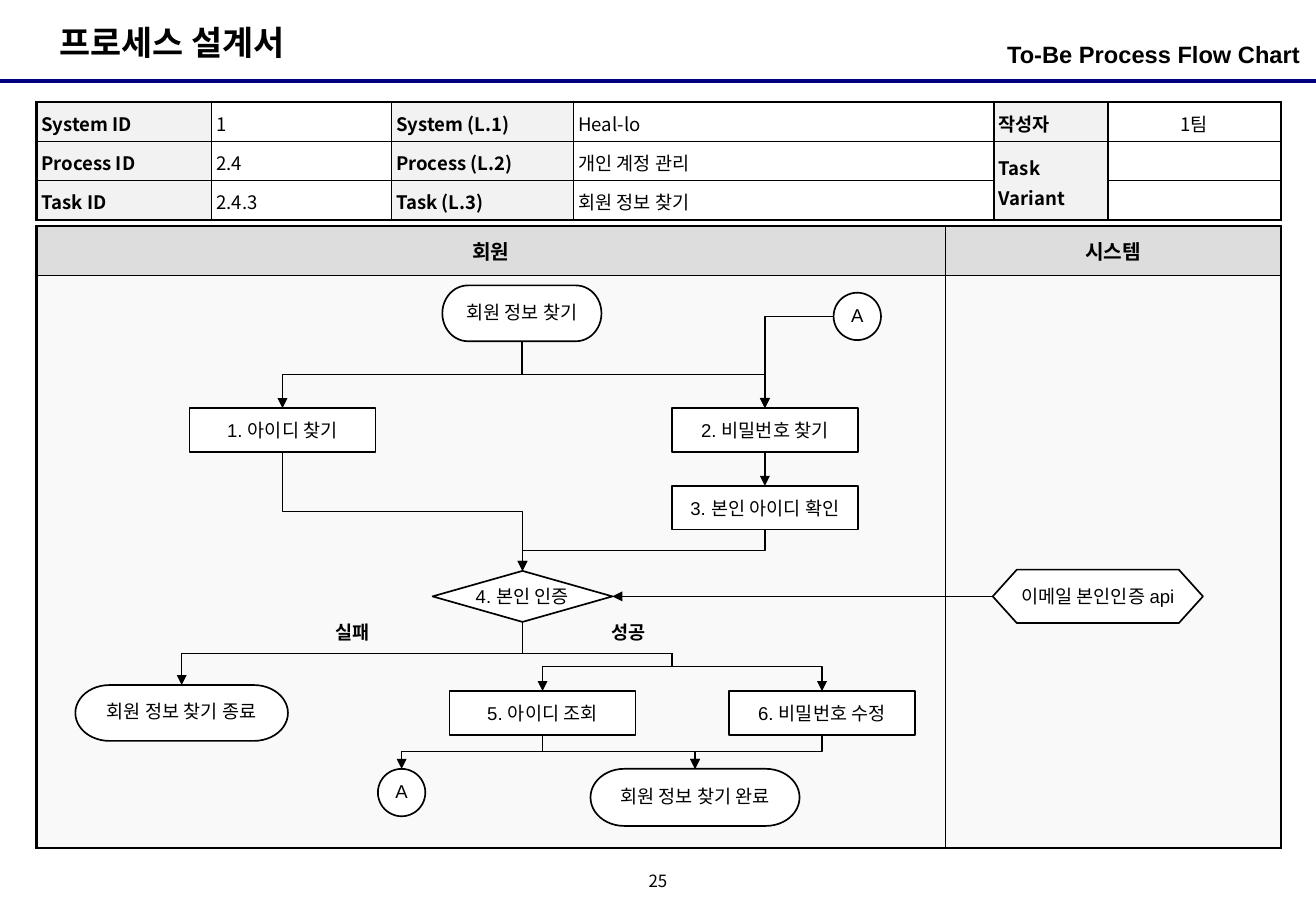
from lxml import etree
from pptx import Presentation
from pptx.dml.color import RGBColor
from pptx.enum.shapes import MSO_CONNECTOR, MSO_SHAPE
from pptx.enum.text import MSO_ANCHOR, PP_ALIGN
from pptx.oxml.ns import qn
from pptx.util import Inches, Pt

BOX, TERMINAL, CIRCLE = MSO_SHAPE.RECTANGLE, MSO_SHAPE.FLOWCHART_TERMINATOR, MSO_SHAPE.FLOWCHART_CONNECTOR
DECISION, HEXAGON = MSO_SHAPE.FLOWCHART_DECISION, MSO_SHAPE.HEXAGON
LINE = MSO_CONNECTOR.STRAIGHT
LEFT, CENTER, RIGHT = PP_ALIGN.LEFT, PP_ALIGN.CENTER, PP_ALIGN.RIGHT
TOP, MIDDLE = MSO_ANCHOR.TOP, MSO_ANCHOR.MIDDLE

COLORS = {"ink": "000000", "rule": "000080", "label": "F2F2F2",
          "lane_head": "DDDDDD", "lane": "F9F9F9", "node": "FFFFFF"}
KOREAN, LATIN = "Noto Sans CJK KR", "Arial"

INFO_COLUMNS = [1.44, 1.48, 1.5, 3.46, 0.94, 1.42]
INFO_ROWS = [
    ["System ID", "1", "System (L.1)", "Heal-lo", "작성자", "1팀"],
    ["Process ID", "2.4", "Process (L.2)", "개인 계정 관리", "Task Variant", ""],
    ["Task ID", "2.4.3", "Task (L.3)", "회원 정보 찾기", "", ""],
]
LANE_COLUMNS = [7.48, 2.76]
LANES = [["회원", "시스템"], ["", ""]]

# text, left, top, width, height, font, size, bold, alignment, wrap, side inset, line spacing
CAPTIONS = [
    ("프로세스 설계서", 0.39, 0.13, 2.26, 0.44, KOREAN, 20, True, LEFT, False, 0.1, 1),
    ("To-Be Process Flow Chart", 7.39, 0.28, 3.31, 0.39, LATIN, 14, True, RIGHT, True, 0, 1),
    ("25", 5.25, 7.15, 0.33, 0.25, KOREAN, 10, False, CENTER, False, 0, 0.8),
    ("실패", 2.66, 5.06, 0.76, 0.29, KOREAN, 11, True, LEFT, True, 0.1, 1),
    ("성공", 4.93, 5.06, 0.99, 0.29, KOREAN, 11, True, LEFT, True, 0.1, 1),
]

# key: text, outline, left, top, width, height
NODES = {
    "start": ("회원 정보 찾기", TERMINAL, 3.64, 2.35, 1.31, 0.46),
    "find_id": ("1. 아이디 찾기", BOX, 1.56, 3.36, 1.53, 0.36),
    "find_password": ("2. 비밀번호 찾기", BOX, 5.53, 3.36, 1.53, 0.36),
    "check_id": ("3. 본인 아이디 확인", BOX, 5.53, 4, 1.53, 0.36),
    "verify": ("4. 본인 인증", DECISION, 3.56, 4.7, 1.48, 0.42),
    "show_id": ("5. 아이디 조회", BOX, 3.7, 5.69, 1.53, 0.36),
    "edit_password": ("6. 비밀번호 수정", BOX, 6, 5.69, 1.53, 0.36),
    "email_api": ("이메일 본인인증 api", HEXAGON, 8.17, 4.69, 1.73, 0.44),
    "failed": ("회원 정보 찾기 종료", TERMINAL, 0.62, 5.64, 1.75, 0.46),
    "done": ("회원 정보 찾기 완료", TERMINAL, 4.86, 6.33, 1.72, 0.47),
    "jump_in": ("A", CIRCLE, 6.86, 2.41, 0.39, 0.39),
    "jump_out": ("A", CIRCLE, 3.11, 6.33, 0.39, 0.39),
}
BRANCH, FORK = (5.53, 5.38), (5.53, 5.49)

# from, to, preset, leaves vertically, arrowhead; an end is a (node, side) or a point
FLOWS = [
    (("start", "bottom"), ("find_id", "top"), "bentConnector3", True, True),
    (("start", "bottom"), ("find_password", "top"), "bentConnector3", True, True),
    (("jump_in", "left"), ("find_password", "top"), "bentConnector2", False, True),
    (("find_password", "bottom"), ("check_id", "top"), "line", False, True),
    (("find_id", "bottom"), ("verify", "top"), "bentConnector3", True, True),
    (("check_id", "bottom"), ("verify", "top"), "bentConnector3", True, True),
    (("email_api", "left"), ("verify", "right"), "line", False, True),
    (("verify", "bottom"), ("failed", "top"), "bentConnector3", True, True),
    (("verify", "bottom"), BRANCH, "bentConnector2", True, False),
    (BRANCH, FORK, "line", False, False),
    (FORK, ("show_id", "top"), "bentConnector2", False, True),
    (FORK, ("edit_password", "top"), "bentConnector2", False, True),
    (("show_id", "bottom"), ("done", "top"), "bentConnector3", True, True),
    (("show_id", "bottom"), ("jump_out", "top"), "bentConnector3", True, True),
    (("edit_password", "bottom"), ("done", "top"), "bentConnector3", True, True),
]
SIDES = {"top": (0.5, 0), "left": (0, 0.5), "bottom": (0.5, 1), "right": (1, 0.5)}
LEFT_SITES = {CIRCLE: 2, HEXAGON: 3}
# (leaves vertically, runs leftward): rotation, flip
TURNS = {(True, True): (90, None), (True, False): (270, "flipH"),
         (False, True): (180, "flipV"), (False, False): (0, None)}


def rgb(name):
    return RGBColor.from_string(COLORS[name])


def write(frame, text, font, size, bold=False, align=LEFT, spacing=1):
    frame.text = text
    paragraph = frame.paragraphs[0]
    paragraph.alignment = align
    paragraph.line_spacing = spacing
    for run in paragraph.runs:
        run.font.size, run.font.bold, run.font.name = Pt(size), bold, font
        run.font.color.rgb = rgb("ink")
        etree.SubElement(run.font._element, qn("a:ea"), typeface=KOREAN)
    if not text:
        etree.SubElement(paragraph._p, qn("a:endParaRPr"), sz=str(size * 100))
    return paragraph


def set_insets(target, side, vertical):
    target.margin_left = target.margin_right = Inches(side)
    target.margin_top = target.margin_bottom = Inches(vertical)


def set_borders(cell, widths):
    """Draw left, right, top and bottom borders, widths in points."""
    properties = cell._tc.get_or_add_tcPr()
    for position, (tag, width) in enumerate(zip(("lnL", "lnR", "lnT", "lnB"), widths)):
        border = etree.Element(qn("a:" + tag), w=str(Pt(width)))
        fill = etree.SubElement(border, qn("a:solidFill"))
        etree.SubElement(fill, qn("a:srgbClr"), val=COLORS["ink"])
        properties.insert(position, border)


def add_grid(texts, columns, heights, top, inner_border):
    table = slide.shapes.add_table(len(heights), len(columns), Inches(0.3), Inches(top),
                                   Inches(sum(columns)), Inches(sum(heights))).table
    table.first_row = table.horz_banding = False
    for column, width in zip(table.columns, columns):
        column.width = Inches(width)
    for row, height in zip(table.rows, heights):
        row.height = Inches(height)
    last_row, last_column = len(heights) - 1, len(columns) - 1
    for r, row_texts in enumerate(texts):
        for c, text in enumerate(row_texts):
            outer = (c == 0, c == last_column, r == 0, r == last_row)
            set_borders(table.cell(r, c), [1.5 if edge else inner_border for edge in outer])
            yield table, r, c, table.cell(r, c), text


def fill_cell(cell, color):
    cell.fill.solid()
    cell.fill.fore_color.rgb = rgb(color)


def add_line(start, end, color, width):
    line = slide.shapes.add_connector(LINE, *(Inches(v) for v in (*start, *end)))
    line.line.color.rgb = rgb(color)
    line.line.width = Pt(width)
    etree.SubElement(line._element.spPr, qn("a:effectLst"))
    return line


def locate(end):
    if end[0] not in NODES:
        return end
    _, _, left, top, width, height = NODES[end[0]]
    across, down = SIDES[end[1]]
    return left + width * across, top + height * down


def site(end):
    """Connection site number of a (node, side) end."""
    if end[1] == "left":
        return LEFT_SITES.get(NODES[end[0]][1], 1)
    return list(SIDES).index(end[1])


def add_flow(source, target, preset, vertical, arrow):
    (x1, y1), (x2, y2) = locate(source), locate(target)
    flow = add_line((x1, y1), (x2, y2), "ink", 0.75)
    if source[0] in NODES:
        flow.begin_connect(nodes[source[0]], site(source))
    if target[0] in NODES:
        flow.end_connect(nodes[target[0]], site(target))
    flow._element.spPr.find(qn("a:prstGeom")).set("prst", preset)
    width, height = abs(x2 - x1), abs(y2 - y1)
    if vertical:
        width, height = height, width
    flow.left, flow.top = Inches((x1 + x2 - width) / 2), Inches((y1 + y2 - height) / 2)
    flow.width, flow.height = Inches(width), Inches(height)
    rotation, flip = TURNS[vertical, x2 < x1 - 0.001]
    frame = flow._element.spPr.find(qn("a:xfrm"))
    for name in ("flipH", "flipV"):
        frame.attrib.pop(name, None)
    frame.set("rot", str(rotation * 60000))
    if flip:
        frame.set(flip, "1")
    if arrow:
        etree.SubElement(flow.line._get_or_add_ln(), qn("a:tailEnd"), type="triangle")


prs = Presentation()
prs.slide_width, prs.slide_height = Inches(10.83), Inches(7.5)
slide = prs.slides.add_slide(prs.slide_layouts[6])
add_line((0, 0.67), (10.83, 0.67), "rule", 2.25)

for table, r, c, cell, text in add_grid(INFO_ROWS, INFO_COLUMNS, [0.31] * 3, 0.84, 1):
    is_label = c % 2 == 0
    set_insets(cell, 0.04, 0.04)
    cell.vertical_anchor = MIDDLE if c >= 4 else TOP
    paragraph = write(cell.text_frame, text, KOREAN, 11, is_label, CENTER if c == 5 else LEFT, 1.1)
    paragraph.space_after = Pt(1)
    if is_label:
        fill_cell(cell, "label")
    else:
        cell.fill.background()
table.cell(1, 4).merge(table.cell(2, 4))

for _, r, c, cell, text in add_grid(LANES, LANE_COLUMNS, [0.41, 4.71], 1.86, 0.75):
    cell.vertical_anchor = MIDDLE
    write(cell.text_frame, text, KOREAN, 12, True, CENTER)
    fill_cell(cell, "lane" if r else "lane_head")

nodes = {}
for key, (text, outline, *box) in NODES.items():
    node = nodes[key] = slide.shapes.add_shape(outline, *(Inches(v) for v in box))
    node.shadow.inherit = False
    node.fill.solid()
    node.fill.fore_color.rgb = rgb("node")
    node.line.color.rgb = rgb("ink")
    node.line.width = Pt(1)
    if outline == HEXAGON:
        node.adjustments[0] = 0.45
    frame = node.text_frame
    set_insets(frame, 0.02, 0)
    frame.vertical_anchor = MIDDLE
    frame.word_wrap = outline not in (HEXAGON, DECISION)
    write(frame, text, LATIN, 11, False, CENTER, 0.9 if outline in (TERMINAL, CIRCLE) else 1)

for flow in FLOWS:
    add_flow(*flow)

for text, left, top, width, height, font, size, bold, align, wrap, inset, spacing in CAPTIONS:
    frame = slide.shapes.add_textbox(*(Inches(v) for v in (left, top, width, height))).text_frame
    frame.word_wrap = wrap
    set_insets(frame, inset, 0.05)
    write(frame, text, font, size, bold, align, spacing)

prs.save("out.pptx")
